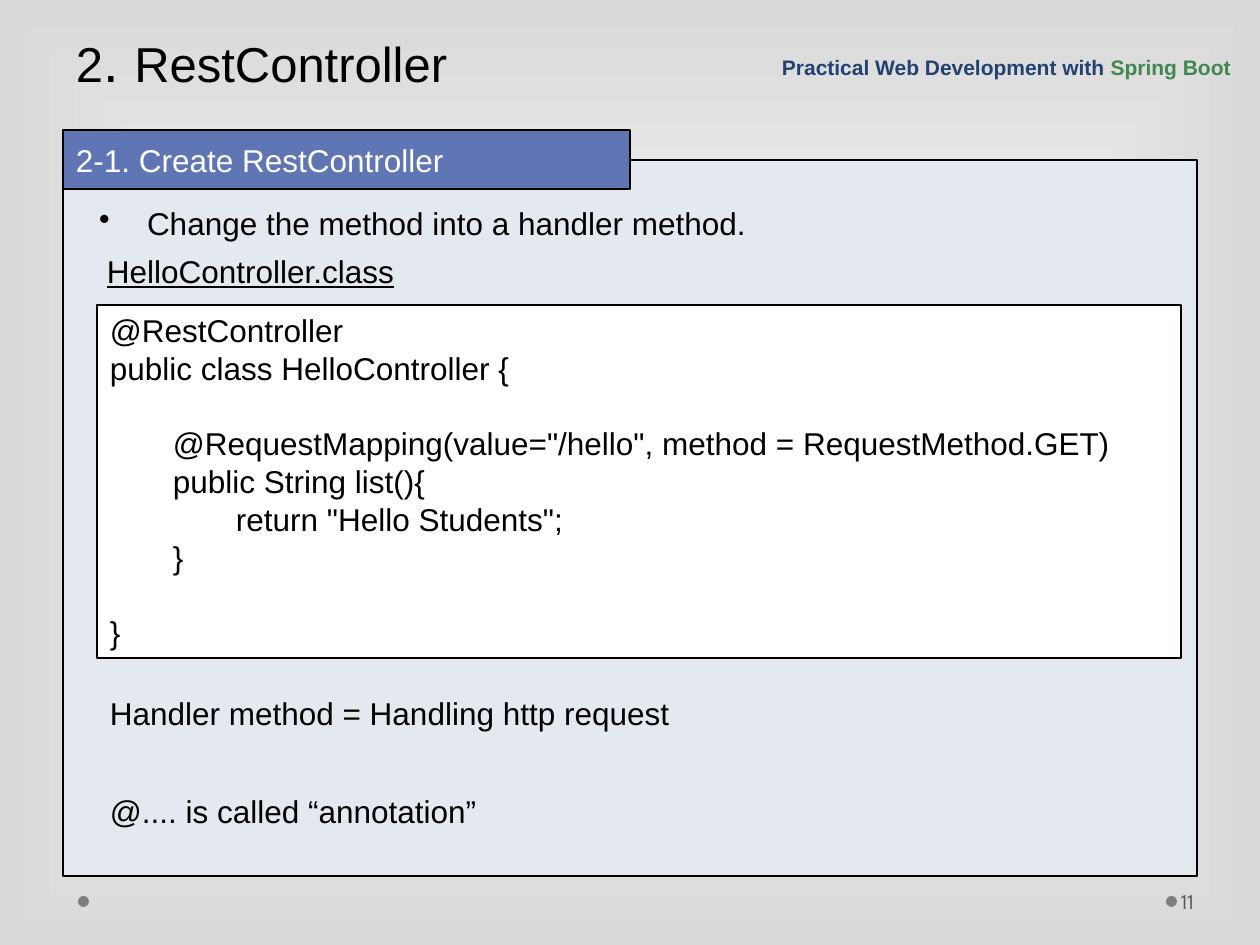
from dataclasses import dataclass

from lxml import etree
from pptx import Presentation
from pptx.dml.color import RGBColor
from pptx.enum.shapes import MSO_SHAPE
from pptx.enum.text import MSO_ANCHOR
from pptx.oxml.ns import qn
from pptx.util import Pt

RECT, OVAL = MSO_SHAPE.RECTANGLE, MSO_SHAPE.OVAL
TOP, MIDDLE, BOTTOM = MSO_ANCHOR.TOP, MSO_ANCHOR.MIDDLE, MSO_ANCHOR.BOTTOM
PX_PER_INCH = 126


def px(length):
    return round(length * 914400 / PX_PER_INCH)


@dataclass(frozen=True)
class Theme:
    font: str = "Arial"
    number_font: str = "League Spartan"
    ink: str = "000000"
    white: str = "FFFFFF"
    edge: str = "D9D9D9"
    panel: str = "E4E9EF"
    heading: str = "6076B4"
    dot: str = "7F7F7F"
    number: str = "595959"
    course: str = "234271"
    framework: str = "40884F"
    title_size: int = 28
    title_gap_size: int = 32
    body_size: int = 18
    small_size: int = 12
    line_height: float = 21.6
    outline: float = 0.75


class SlideBuilder:
    def __init__(self, slide, theme):
        self.slide, self.theme = slide, theme

    def background(self, centre, edge):
        """Rectangular gradient running from the centre to the edges."""
        fill = self.slide.background.fill
        fill.gradient()
        for stop, color in zip(fill.gradient_stops, (centre, edge)):
            stop.color.rgb = RGBColor.from_string(color)
        gradient = self.slide.element.find(".//" + qn("a:gradFill"))
        gradient.remove(gradient.find(qn("a:lin")))
        rings = etree.SubElement(gradient, qn("a:path"), {"path": "rect"})
        etree.SubElement(rings, qn("a:fillToRect"), dict.fromkeys("ltrb", "50000"))

    def shape(self, kind, box, fill, outlined=True):
        shape = self.slide.shapes.add_shape(kind, *map(px, box))
        shape.shadow.inherit = False
        shape.fill.solid()
        shape.fill.fore_color.rgb = RGBColor.from_string(fill)
        if outlined:
            shape.line.color.rgb = RGBColor.from_string(self.theme.ink)
            shape.line.width = Pt(self.theme.outline)
        else:
            shape.line.fill.background()
        return shape

    def frame(self, shape, anchor=TOP, left_inset=13):
        frame = shape.text_frame
        frame.word_wrap = True
        frame.vertical_anchor = anchor
        frame.margin_left, frame.margin_right = px(left_inset), px(13)
        frame.margin_top = frame.margin_bottom = px(6)
        return frame

    def text_box(self, box, anchor=TOP, left_inset=13):
        return self.frame(self.slide.shapes.add_textbox(*map(px, box)), anchor, left_inset)

    def run(self, paragraph, text, size=None, color=None, font=None, bold=False, underline=False):
        run = paragraph.add_run()
        run.text = text
        run.font.name = font or self.theme.font
        run.font.size = Pt(size or self.theme.body_size)
        run.font.color.rgb = RGBColor.from_string(color or self.theme.ink)
        run.font.bold, run.font.underline = bold, underline

    def body_line(self, box, text, underline=False):
        paragraph = self.text_box(box).paragraphs[0]
        paragraph.line_spacing = Pt(self.theme.line_height)
        self.run(paragraph, text, underline=underline)
        return paragraph

    def bullet(self, paragraph, indent):
        properties = paragraph._p.get_or_add_pPr()
        properties.set("marL", str(px(indent)))
        properties.set("indent", str(-px(indent)))
        etree.SubElement(properties, qn("a:buChar"), {"char": "•"})

    def code(self, box, lines, step):
        """Each line is (indent level, blank lines above, text)."""
        frame = self.frame(self.shape(RECT, box, self.theme.white))
        for index, (level, gap, text) in enumerate(lines):
            paragraph = frame.add_paragraph() if index else frame.paragraphs[0]
            paragraph.line_spacing = Pt(self.theme.line_height)
            paragraph.space_before = Pt(gap * self.theme.line_height)
            properties = paragraph._p.get_or_add_pPr()
            properties.set("marL", str(px(level * step)))
            properties.set("algn", "l")
            self.run(paragraph, text)


def main():
    theme = Theme()
    deck = Presentation()
    deck.slide_width, deck.slide_height = px(1260), px(945)
    page = SlideBuilder(deck.slides.add_slide(deck.slide_layouts[6]), theme)
    page.background(theme.white, theme.edge)

    # Footer: dots and page number
    for left in (1166, 78):
        page.shape(OVAL, (left, 896, 11, 11), theme.dot, outlined=False)
    number = page.text_box((1177, 876, 77, 50), MIDDLE, left_inset=4)
    page.run(number.paragraphs[0], "11", theme.small_size, theme.number, theme.number_font)

    # Content panel
    page.shape(RECT, (63, 160, 1134, 716), theme.panel)

    # Title and course name
    title = page.text_box((63, 0, 706, 100), BOTTOM).paragraphs[0]
    title.line_spacing = Pt(58)
    for text, size in (("2", theme.title_size), (". ", theme.title_gap_size),
                       ("RestController", theme.title_size)):
        page.run(title, text, size)
    course = page.text_box((769, 16, 486, 70), BOTTOM).paragraphs[0]
    page.run(course, "Practical Web Development with ", theme.small_size, theme.course, bold=True)
    page.run(course, "Spring Boot", theme.small_size, theme.framework, bold=True)

    # Section heading
    heading = page.frame(page.shape(RECT, (63, 130, 567, 59), theme.heading), MIDDLE)
    heading.paragraphs[0].alignment = 1
    page.run(heading.paragraphs[0], "2-1. Create RestController", color=theme.white)

    # Task and file name
    task = page.body_line((86, 198, 1091, 50), "Change the method into a handler method.")
    page.bullet(task, 48)
    page.body_line((94, 246, 1032, 50), "HelloController.class", underline=True)

    # Controller code
    page.code((97, 305, 1084, 353), (
        (0, 0, "@RestController"),
        (0, 0, "public class HelloController {"),
        (1, 1, '@RequestMapping(value="/hello", method = RequestMethod.GET)'),
        (1, 0, "public String list(){"),
        (2, 0, 'return "Hello Students";'),
        (1, 0, "}"),
        (0, 1, "}"),
    ), step=63)

    # Explanations
    for top, note in ((688, "Handler method = Handling http request"),
                      (786, "@.... is called “annotation”")):
        page.body_line((97, top, 833, 50), note)

    deck.save("out.pptx")


if __name__ == "__main__":
    main()
